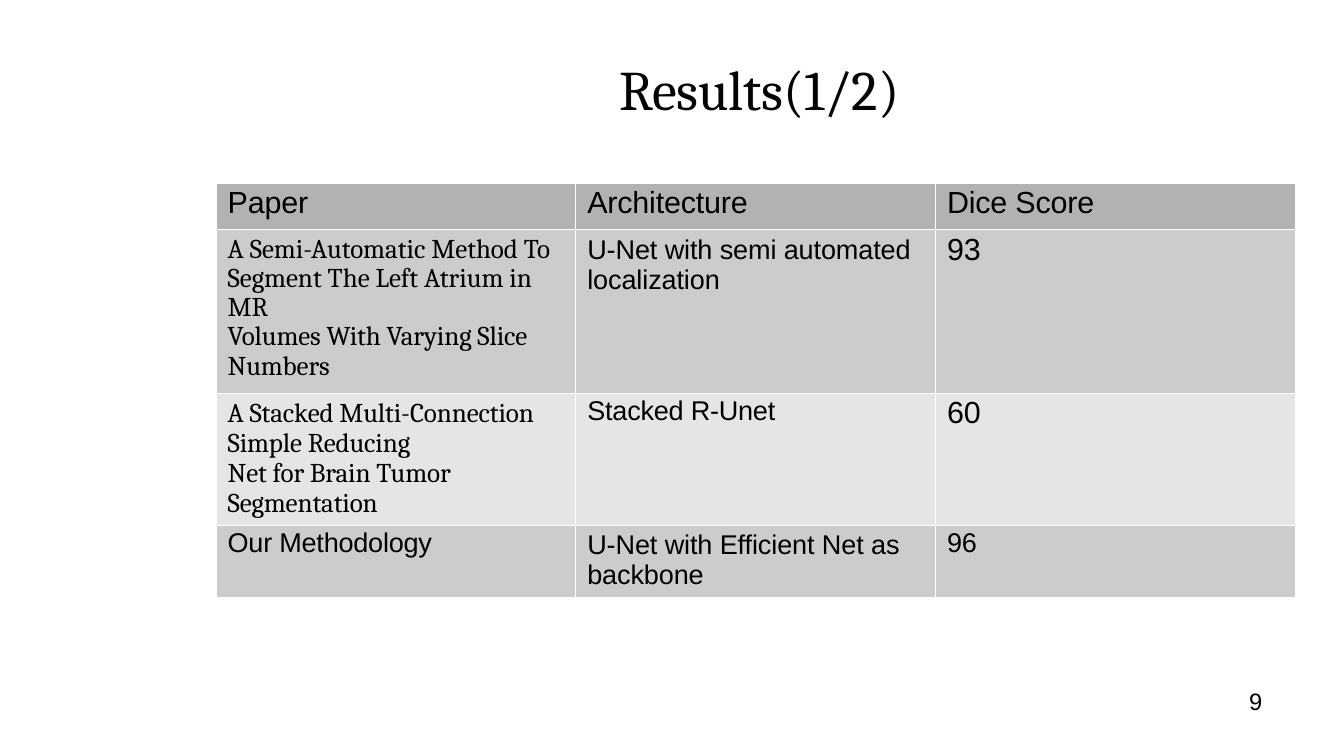
from dataclasses import dataclass

from lxml.etree import SubElement
from pptx import Presentation
from pptx.dml.color import RGBColor
from pptx.oxml.ns import qn
from pptx.slide import Slide
from pptx.table import _Cell
from pptx.text.text import TextFrame, _Paragraph
from pptx.util import Emu, Pt

EMU_PER_PX = 6350


@dataclass(frozen=True)
class Theme:
    """Colours, fonts and type sizes of the slide."""
    title_ink: str = "040404"
    ink: str = "000000"
    border: str = "FFFFFF"
    header_fill: str = "B2B2B2"
    odd_fill: str = "CCCCCC"
    even_fill: str = "E5E5E5"
    serif: str = "Cambria"
    sans: str = "Arial"
    title_size: int = 33
    large_size: int = 18
    body_size: int = 16
    number_size: int = 14


THEME = Theme()


@dataclass(frozen=True)
class Style:
    """Look of a paragraph; spacings in points, indent in px."""
    size: int
    font: str = THEME.sans
    color: str = THEME.ink
    indent: int = 14
    before: float = 2
    line: float | Pt | None = None
    tracking: float = -0.1


@dataclass(frozen=True)
class Line:
    """One paragraph with its style."""
    text: str
    style: Style


@dataclass(frozen=True)
class CellText:
    """Paragraphs of a table cell and its top inset in px."""
    lines: tuple[Line, ...]
    inset_top: int = 4


@dataclass(frozen=True)
class Box:
    """Position and size in px."""
    left: int
    top: int
    width: int
    height: int

    def emu(self) -> tuple[Emu, Emu, Emu, Emu]:
        """Return the box in EMU."""
        return px(self.left), px(self.top), px(self.width), px(self.height)


TITLE = Style(THEME.title_size, THEME.serif, THEME.title_ink, indent=395, before=1)
NUMBER = Style(THEME.number_size, indent=6, before=0, line=Pt(16.5), tracking=-0.2)
LARGE = Style(THEME.large_size)
BODY = Style(THEME.body_size)
WRAPPED = Style(THEME.body_size, before=4, line=Pt(17.7), tracking=-0.05)
PAPER_TIGHT = Style(THEME.body_size, THEME.serif, before=3.4, line=0.93, tracking=0)
PAPER = Style(THEME.body_size, THEME.serif, before=3.7, line=Pt(17.8), tracking=-0.06)
PAPER_NEXT = Style(THEME.body_size, THEME.serif, before=0.3, line=Pt(17.7), tracking=-0.06)


def single(text: str, style: Style, inset_top: int = 4) -> CellText:
    """Describe a cell holding one paragraph."""
    return CellText((Line(text, style),), inset_top)


SLIDE_WIDTH, SLIDE_HEIGHT = 1588, 893
TABLE_BOX = Box(255, 216, 1275, 490)
ROW_HEIGHTS = (55, 193, 156, 86)
ROW_FILLS = (THEME.header_fill, THEME.odd_fill, THEME.even_fill, THEME.odd_fill)
RESULTS = (
    tuple(single(heading, LARGE) for heading in ("Paper", "Architecture", "Dice Score")),
    (
        CellText((
            Line("A Semi-Automatic Method To Segment The Left Atrium in MR", PAPER_TIGHT),
            Line("Volumes With Varying Slice Numbers", PAPER_NEXT),
        ), 7),
        single("U-Net with semi automated localization", WRAPPED, 7),
        single("93", LARGE),
    ),
    (
        CellText((
            Line("A Stacked Multi-Connection Simple Reducing", PAPER),
            Line("Net for Brain Tumor Segmentation", PAPER_NEXT),
        ), 7),
        single("Stacked R-Unet", BODY),
        single("60", LARGE),
    ),
    (
        single("Our Methodology", BODY),
        single("U-Net with Efficient Net as backbone", WRAPPED, 7),
        single("96", BODY),
    ),
)


def px(length: int) -> Emu:
    """Convert px to EMU."""
    return Emu(length * EMU_PER_PX)


def format_paragraph(paragraph: _Paragraph, style: Style) -> None:
    """Apply a style to a paragraph and its runs."""
    paragraph.space_before = Pt(style.before)
    if style.line is not None:
        paragraph.line_spacing = style.line
    properties = paragraph._p.get_or_add_pPr()
    properties.set("marL", str(px(style.indent)))
    properties.set("indent", "0")
    for run in paragraph.runs:
        run.font.size = Pt(style.size)
        run.font.name = style.font
        run.font.bold = False
        run.font.color.rgb = RGBColor.from_string(style.color)
        run._r.get_or_add_rPr().set("spc", str(round(style.tracking * 100)))


def write_lines(text_frame: TextFrame, lines: tuple[Line, ...]) -> None:
    """Fill a text frame with styled paragraphs."""
    text_frame.text = "\n".join(line.text for line in lines)
    text_frame.word_wrap = True
    for paragraph, line in zip(text_frame.paragraphs, lines):
        format_paragraph(paragraph, line.style)


def add_text(slide: Slide, box: Box, line: Line, inset_top: int = 0) -> None:
    """Add a text box with a single paragraph."""
    text_frame = slide.shapes.add_textbox(*box.emu()).text_frame
    text_frame.margin_left = text_frame.margin_right = text_frame.margin_bottom = 0
    text_frame.margin_top = px(inset_top)
    write_lines(text_frame, (line,))


def add_borders(cell: _Cell) -> None:
    """Draw thin borders on all four sides of a cell."""
    properties = cell._tc.get_or_add_tcPr()
    for position, side in enumerate(("a:lnL", "a:lnR", "a:lnT", "a:lnB")):
        border = SubElement(properties, qn(side), w=str(Pt(0.25)))
        fill = SubElement(border, qn("a:solidFill"))
        SubElement(fill, qn("a:srgbClr"), val=THEME.border)
        properties.insert(position, border)


def fill_cell(cell: _Cell, content: CellText, color: str) -> None:
    """Write, colour and frame a table cell."""
    cell.margin_left = cell.margin_right = cell.margin_bottom = 0
    cell.margin_top = px(content.inset_top)
    write_lines(cell.text_frame, content.lines)
    cell.fill.solid()
    cell.fill.fore_color.rgb = RGBColor.from_string(color)
    add_borders(cell)


def add_results(slide: Slide) -> None:
    """Add the table of results."""
    columns = len(RESULTS[0])
    table = slide.shapes.add_table(len(RESULTS), columns, *TABLE_BOX.emu()).table
    for column in table.columns:
        column.width = px(TABLE_BOX.width // columns)
    for row, height, color, contents in zip(table.rows, ROW_HEIGHTS, ROW_FILLS, RESULTS):
        row.height = px(height)
        for cell, content in zip(row.cells, contents):
            fill_cell(cell, content, color)


def main() -> None:
    """Build the slide and save it."""
    presentation = Presentation()
    presentation.slide_width = px(SLIDE_WIDTH)
    presentation.slide_height = px(SLIDE_HEIGHT)
    slide = presentation.slides.add_slide(presentation.slide_layouts[6])
    add_text(slide, Box(337, 26, 1110, 157), Line("Results(1/2)", TITLE), inset_top=39)
    add_results(slide)
    add_text(slide, Box(1470, 812, 45, 36), Line("9", NUMBER))
    presentation.save("out.pptx")


if __name__ == "__main__":
    main()
